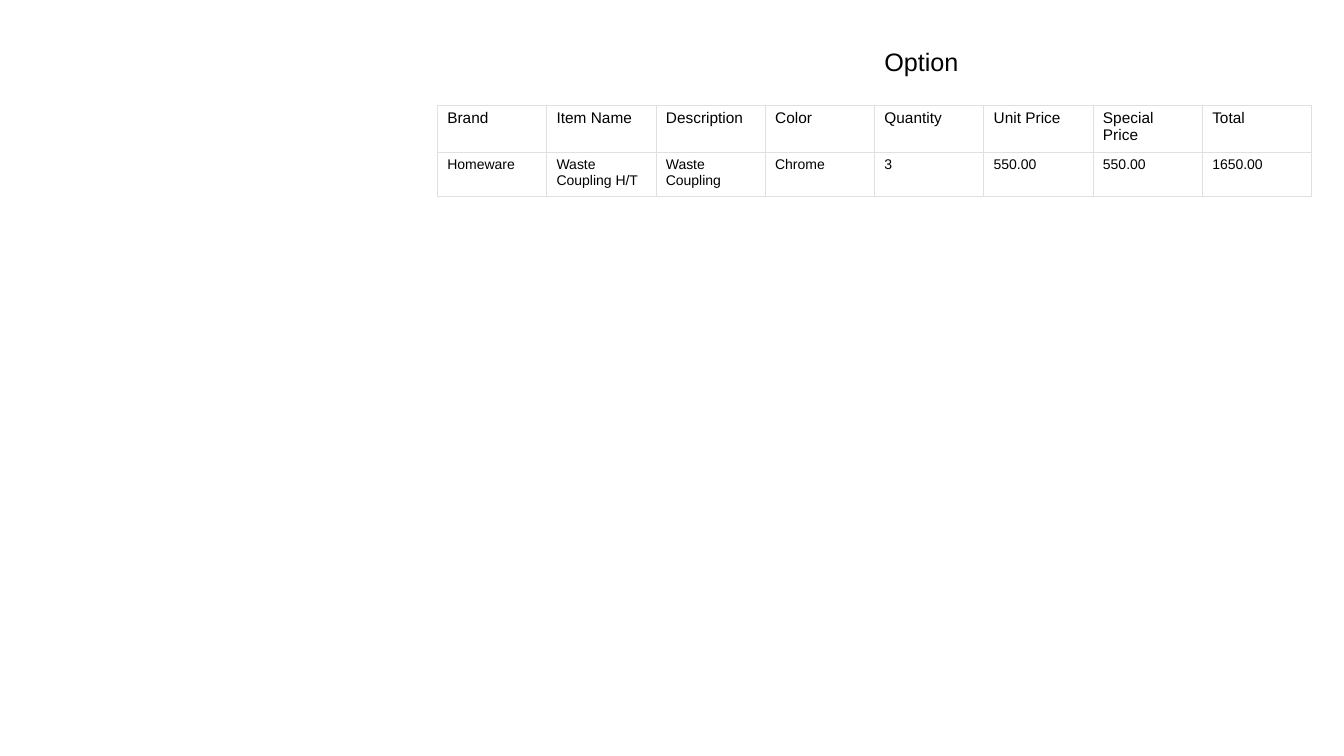
from dataclasses import dataclass

from lxml import etree
from pptx import Presentation
from pptx.dml.color import RGBColor
from pptx.enum import text
from pptx.oxml import ns
from pptx.util import Inches, Pt


@dataclass(frozen=True)
class Theme:
    font: str = "Arial"
    ink: str = "000000"
    rule: str = "E0E0E0"
    width: float = 0.45
    title: int = 18
    head: int = 11
    body: int = 10


THEME = Theme()

HEAD = ["Brand", "Item Name", "Description", "Color",
        "Quantity", "Unit Price", "Special Price", "Total"]
ITEM = ["Homeware", "Waste Coupling H/T", "Waste Coupling", "Chrome",
        "3", "550.00", "550.00", "1650.00"]


def add_run(frame, words, size):
    run = frame.paragraphs[0].add_run()
    run.text = words
    run.font.name = THEME.font
    run.font.size = Pt(size)
    run.font.bold = False
    run.font.color.rgb = RGBColor.from_string(THEME.ink)


def add_title(slide, words, left, top, width, height):
    box = slide.shapes.add_textbox(
        Inches(left), Inches(top), Inches(width), Inches(height))
    frame = box.text_frame
    frame.word_wrap = True
    frame.vertical_anchor = text.MSO_ANCHOR.MIDDLE
    add_run(frame, words, THEME.title)


def set_border(cell):
    """Draw a thin rule on all four sides; call before the cell is filled."""
    props = cell._tc.get_or_add_tcPr()
    for side in ("a:lnL", "a:lnR", "a:lnT", "a:lnB"):
        line = etree.SubElement(
            props, ns.qn(side), w=str(int(Pt(THEME.width))))
        fill = etree.SubElement(line, ns.qn("a:solidFill"))
        etree.SubElement(fill, ns.qn("a:srgbClr"), val=THEME.rule)


def add_grid(slide, rows, left, top, width, heights):
    count = len(rows[0])
    frame = slide.shapes.add_table(
        len(rows), count, Inches(left), Inches(top),
        Inches(width), Inches(sum(heights)))
    table = frame.table
    table.first_row = table.horz_banding = False
    for col in table.columns:
        col.width = Inches(width / count)
    for r, (row, height) in enumerate(zip(rows, heights)):
        table.rows[r].height = Inches(height)
        size = THEME.body if r else THEME.head
        for c, words in enumerate(row):
            cell = table.cell(r, c)
            set_border(cell)
            cell.fill.background()
            add_run(cell.text_frame, words, size)


def main():
    deck = Presentation()
    deck.slide_width = Inches(13.34)
    deck.slide_height = Inches(7.5)
    slide = deck.slides.add_slide(deck.slide_layouts[6])
    add_title(slide, "Option", 8.68, 0.17, 1.74, 0.87)
    add_grid(slide, [HEAD, ITEM], 4.34, 1.04, 8.68, [0.47, 0.44])
    deck.save("out.pptx")


if __name__ == "__main__":
    main()
